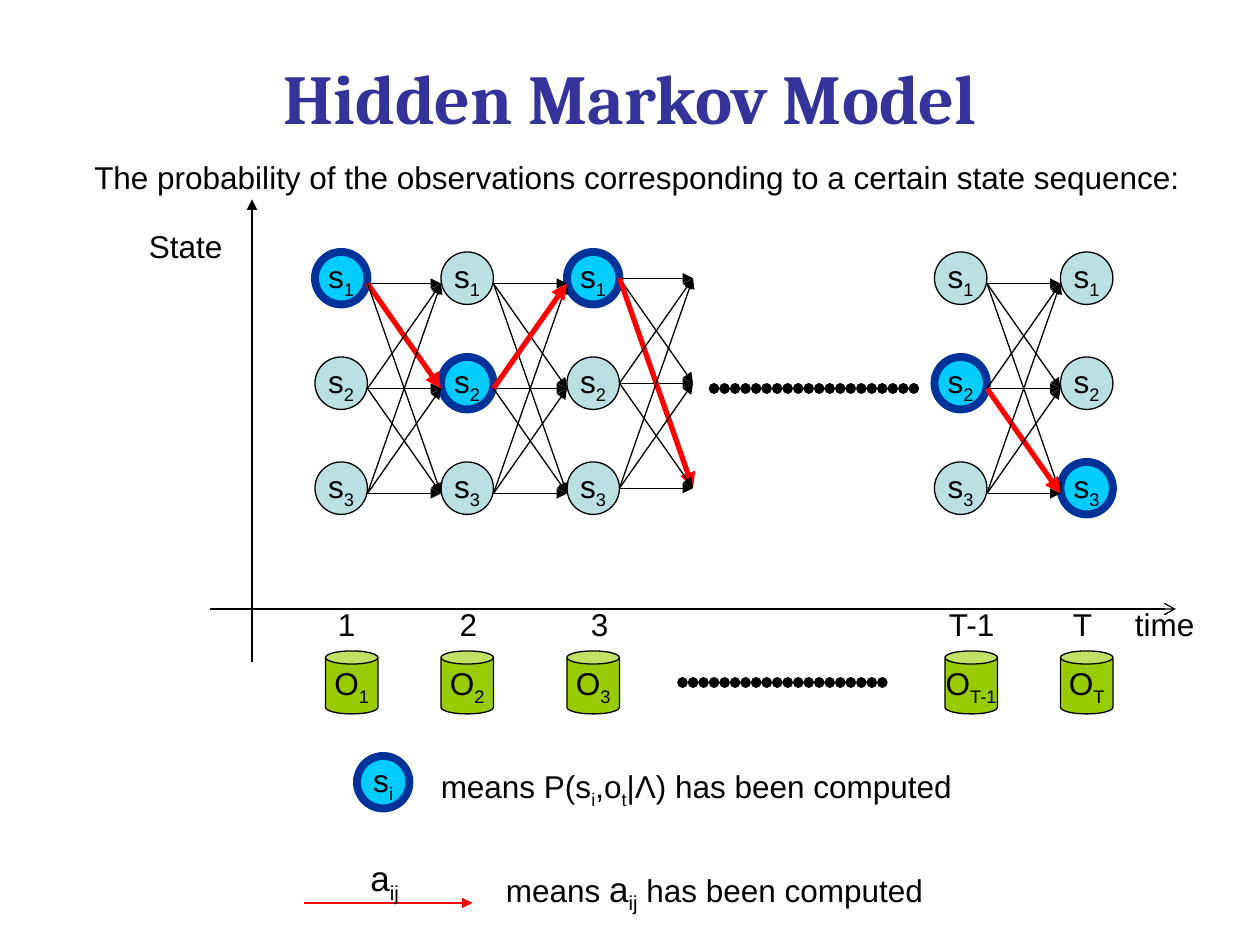
from dataclasses import dataclass

import pptx
import pptx.dml.color
import pptx.enum.shapes
import pptx.enum.text
import pptx.oxml
import pptx.oxml.ns
import pptx.util

EMU_PER_PX = 7620  # 120 px to the inch
SHAPES = pptx.enum.shapes.MSO_SHAPE


@dataclass(frozen=True)
class Theme:
    font: str = "Arial"
    title_font: str = "Cambria"
    ink: str = "000000"
    title: str = "333399"
    state: str = "BBE0E3"
    visited: str = "00CCFF"
    visited_edge: str = "003399"
    observation: str = "99CC00"
    route: str = "FF0000"
    title_size: int = 40
    body_size: int = 18
    symbol_size: int = 20
    thin: float = 0.75
    route_width: float = 3
    ring_width: float = 4.5
    dot_width: float = 6


THEME = Theme()
NODE = 50
GAP = 70
ROW_STEP = 100
COLUMN_LEFTS = [300, 420, 540, 890, 1010]
VISITED_ROWS = [0, 1, 0, 1, 2]
CAN_LEFTS = [310, 420, 540, 900, 1010]
TIMES = ["1", "2", "3", "T-1", "T"]
# Start column, height of the first row, and the route from row to row
TRANSITIONS = [(0, 270, (0, 1)), (1, 270, (1, 0)), (2, 265, (0, 2)), (3, 270, (1, 2))]
ROW_PAIRS = [(0, 0), (1, 1), (2, 2), (0, 1), (0, 2), (1, 2), (2, 0), (2, 1), (1, 0)]
AXIS_TABS = [116, 241, 582, 700, 759]


def px(value):
    return pptx.util.Emu(value * EMU_PER_PX)


def color(value):
    return pptx.dml.color.RGBColor.from_string(value)


def xml(tag, content=""):
    namespace = pptx.oxml.ns.nsdecls("a")
    name = tag.split()[0]
    return pptx.oxml.parse_xml(f"<a:{tag} {namespace}>{content}</a:{name}>")


def format_font(font, size, name=THEME.font, fill=THEME.ink):
    font.size = pptx.util.Pt(size)
    font.name = name
    font.color.rgb = color(fill)


def write_parts(paragraph, parts):
    """Write text parts, each (text, size, is_subscript)."""
    for text, size, is_subscript in parts:
        run = paragraph.add_run()
        run.text = text
        format_font(run.font, size)
        if is_subscript:
            run._r.get_or_add_rPr().set("baseline", "-25000")


def indexed(letter, index, size=THEME.body_size):
    return [(letter, size, False), (index, size, True)]


def plain(text):
    return [(text, THEME.body_size, False)]


def add_text(shapes, left, top, width, height, parts):
    box = shapes.add_textbox(px(left), px(top), px(width), px(height))
    box.text_frame.word_wrap = True
    write_parts(box.text_frame.paragraphs[0], parts)
    return box


def add_symbol(shapes, kind, left, top, height, fill, edge, edge_width, parts):
    shape = shapes.add_shape(kind, px(left), px(top), px(NODE), px(height))
    shape.shadow.inherit = False
    shape.fill.solid()
    shape.fill.fore_color.rgb = color(fill)
    shape.line.color.rgb = color(edge)
    shape.line.width = pptx.util.Pt(edge_width)
    frame = shape.text_frame
    frame.word_wrap = False
    frame.vertical_anchor = pptx.enum.text.MSO_ANCHOR.MIDDLE
    frame.paragraphs[0].alignment = pptx.enum.text.PP_ALIGN.CENTER
    write_parts(frame.paragraphs[0], parts)


def add_state(shapes, left, top, index, visited):
    style = (
        (THEME.visited, THEME.visited_edge, THEME.ring_width)
        if visited
        else (THEME.state, THEME.ink, THEME.thin)
    )
    add_symbol(shapes, SHAPES.OVAL, left, top, NODE, *style, indexed("s", index))


def add_line(shapes, start, end, stroke=THEME.ink, width=THEME.thin):
    line = shapes.add_connector(
        pptx.enum.shapes.MSO_CONNECTOR.STRAIGHT, *map(px, start), *map(px, end)
    )
    line.line.color.rgb = color(stroke)
    line.line.width = pptx.util.Pt(width)
    line._element.spPr.append(xml("effectLst"))
    return line


def add_arrow(shapes, start, end, stroke=THEME.ink, width=THEME.thin, head="triangle"):
    arrow = add_line(shapes, start, end, stroke, width)
    arrow.line._get_or_add_ln().append(xml(f'tailEnd type="{head}"'))


def add_dots(shapes, left, right, y):
    dots = add_line(shapes, (left, y), (right, y), width=THEME.dot_width)
    outline = dots.line._get_or_add_ln()
    outline.set("cap", "rnd")
    outline.append(xml("custDash", '<a:ds d="1000" sp="99000"/>'))


def add_title(slide, text):
    title = slide.shapes.title
    title.left, title.top, title.width, title.height = map(px, (60, 36, 1080, 112))
    frame = title.text_frame
    frame.text = text
    frame.vertical_anchor = pptx.enum.text.MSO_ANCHOR.MIDDLE
    paragraph = frame.paragraphs[0]
    paragraph.alignment = pptx.enum.text.PP_ALIGN.CENTER
    font = paragraph.runs[0].font
    format_font(font, THEME.title_size, THEME.title_font, THEME.title)
    font.bold = True


def add_axes(shapes):
    add_arrow(shapes, (240, 630), (240, 190))
    add_arrow(shapes, (200, 580), (1120, 580), head="arrow")
    add_text(shapes, 130, 210, 100, 48, plain("State"))
    labels = add_text(
        shapes, 310, 570, 850, 48, plain("\t".join(TIMES + ["time"]))
    )
    stops = "".join(f'<a:tab pos="{px(tab)}" algn="l"/>' for tab in AXIS_TABS)
    properties = labels.text_frame.paragraphs[0]._p.get_or_add_pPr()
    properties.append(xml("tabLst", stops))


def add_trellis(shapes):
    for left, visited_row in zip(COLUMN_LEFTS, VISITED_ROWS):
        for row in range(3):
            top = 240 + row * ROW_STEP
            add_state(shapes, left, top, str(row + 1), row == visited_row)
    for column, first_y, route in TRANSITIONS:
        x = COLUMN_LEFTS[column] + NODE
        for pair in ROW_PAIRS:
            start_y, end_y = (first_y + row * ROW_STEP for row in pair)
            style = (THEME.route, THEME.route_width) if pair == route else ()
            add_arrow(shapes, (x, start_y), (x + GAP, end_y), *style)
    add_dots(shapes, 680, 872, 370)


def add_observations(shapes):
    for left, time in zip(CAN_LEFTS, TIMES):
        add_symbol(shapes, SHAPES.CAN, left, 620, 60, THEME.observation,
                   THEME.ink, THEME.thin, indexed("O", time))
    add_dots(shapes, 650, 842, 650)


def add_legend(shapes):
    add_state(shapes, 340, 720, "i", True)
    add_text(shapes, 408, 725, 530, 53,
             indexed("means P(s", "i") + indexed(",o", "t")
             + plain("|Λ) has been computed"))
    transition = indexed("a", "ij", THEME.symbol_size)
    add_arrow(shapes, (290, 860), (450, 860), THEME.route)
    add_text(shapes, 341, 810, 60, 58, transition)
    add_text(shapes, 470, 820, 435, 58,
             plain("means ") + transition + plain(" has been computed"))


def main():
    presentation = pptx.Presentation()
    presentation.slide_width, presentation.slide_height = px(1200), px(900)
    slide = presentation.slides.add_slide(presentation.slide_layouts[5])
    add_title(slide, "Hidden Markov Model")
    diagram = slide.shapes.add_group_shape().shapes
    add_axes(diagram)
    add_trellis(diagram)
    add_observations(diagram)
    add_legend(slide.shapes)
    add_text(slide.shapes, 78, 145, 1075, 48, plain(
        "The probability of the observations corresponding to a certain state sequence:"
    ))
    presentation.save("out.pptx")


if __name__ == "__main__":
    main()
